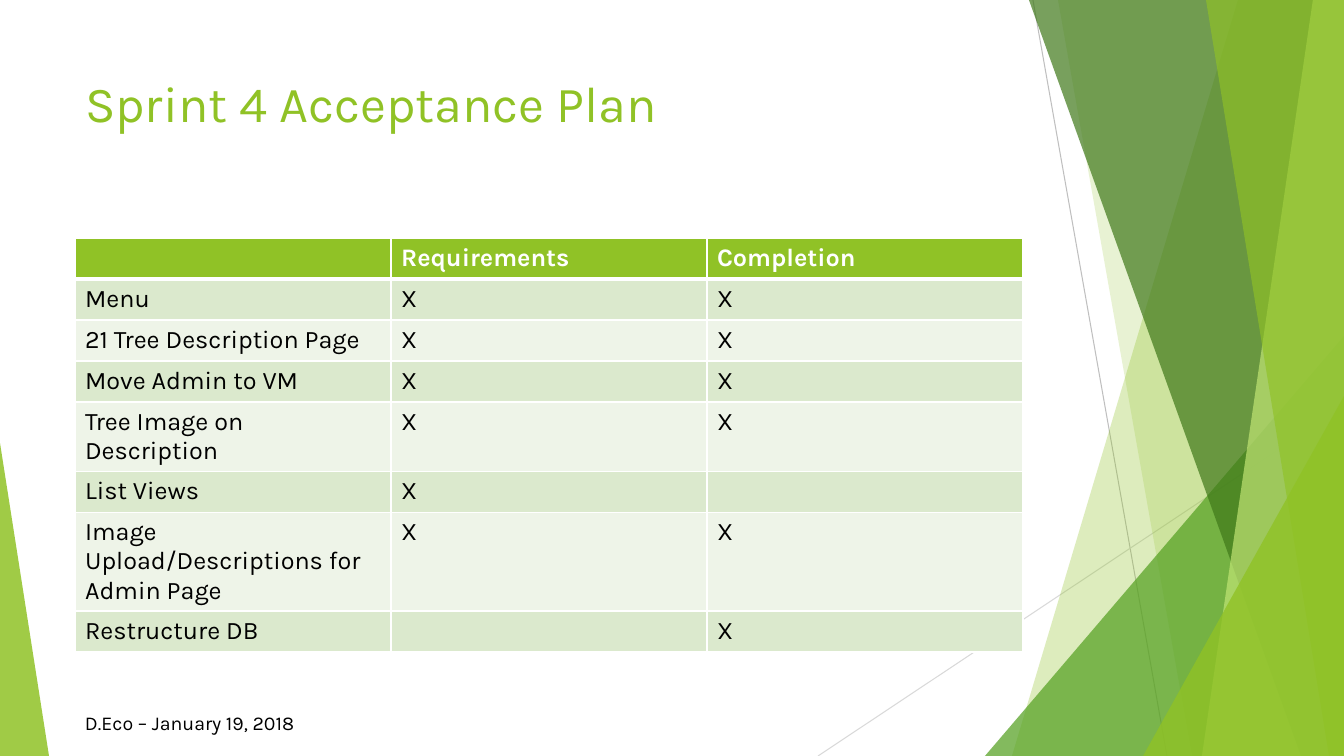
import pptx
import pptx.util
import pptx.dml.color
import pptx.enum.shapes
import pptx.enum.text
import pptx.oxml
import pptx.oxml.ns

SCALE = 914400 / 100.8
WIDE, HIGH = 1344, 756
LIME, WHITE, BLACK = "90C226", "FFFFFF", "000000"
HEADS = ("", "Requirements", "Completion")
TASKS = (
    ("Menu", "X", "X"),
    ("21 Tree Description Page", "X", "X"),
    ("Move Admin to VM", "X", "X"),
    ("Tree Image on Description", "X", "X"),
    ("List Views", "X", ""),
    ("Image Upload/Descriptions for Admin Page", "X", "X"),
    ("Restructure DB", "", "X"),
)


def px(*sizes):
    """Turn pixel lengths into a list of EMU."""
    return [pptx.util.Emu(round(size * SCALE)) for size in sizes]


def paint(hue):
    """Turn a hex string into a colour."""
    return pptx.dml.color.RGBColor.from_string(hue)


def node(tag, parent, **attrs):
    """Append a drawing element and return it."""
    child = pptx.oxml.parse_xml(f"<a:{tag} {pptx.oxml.ns.nsdecls('a')}/>")
    for key, value in attrs.items():
        child.set(key, str(value))
    parent.append(child)
    return child


def write(para, text, size, hue, bold=False):
    """Add one formatted run to a left-aligned paragraph."""
    para.alignment = pptx.enum.text.PP_ALIGN.LEFT
    run = para.add_run()
    run.text = text
    style = {"name": "Karla", "size": pptx.util.Pt(size), "bold": bold}
    for key, value in style.items():
        setattr(run.font, key, value)
    run.font.color.rgb = paint(hue)


def tint(shape, hue, alpha):
    """Fill a shape with a see-through colour and drop its outline."""
    shape.shadow.inherit = False
    shape.fill.solid()
    shape.fill.fore_color.rgb = paint(hue)
    shape.line.fill.background()
    color = shape.fill._xPr.find(".//" + pptx.oxml.ns.qn("a:srgbClr"))
    node("alpha", color, val=alpha * 1000)


def rule(slide, ends, hue):
    """Draw a thin line."""
    kind = pptx.enum.shapes.MSO_CONNECTOR.STRAIGHT
    line = slide.shapes.add_connector(kind, *px(*ends))
    line.line.color.rgb = paint(hue)
    line.line.width = pptx.util.Pt(0.75)
    node("effectLst", line._element.spPr)


def band(slide, top, base, hue, alpha):
    """Draw a full-height band from a slanted edge to the right side."""
    pen = slide.shapes.build_freeform(*px(top, 0))
    points = ((WIDE, 0), (WIDE, HIGH), (base, HIGH))
    pen.add_line_segments([px(*point) for point in points])
    tint(pen.convert_to_shape(), hue, alpha)


def wedge(slide, box, tip, hue, alpha):
    """Draw a triangle with its tip at one side."""
    kind = pptx.enum.shapes.MSO_SHAPE.ISOSCELES_TRIANGLE
    shape = slide.shapes.add_shape(kind, *px(*box))
    shape.adjustments[0] = tip
    tint(shape, hue, alpha)


def facets(slide):
    """Draw the green backdrop."""
    rule(slide, (1033, 0, 1167, HIGH), "BFBFBF")
    rule(slide, (WIDE, 406, 818, HIGH), "D9D9D9")
    band(slide, 1238, 1012, LIME, 30)
    band(slide, 1058, 1192, LIME, 20)
    wedge(slide, (985, 336, 359, 420), 1, "54A021", 72)
    band(slide, 1029, 1301, "3F7819", 70)
    band(slide, 1313, 1202, "C0E474", 70)
    band(slide, 1206, 1329, LIME, 65)
    wedge(slide, (1143, 396, 201, 360), 1, LIME, 80)
    wedge(slide, (0, 443, 49, 313), 0, LIME, 85)


def edge(cell, head):
    """Give a cell white borders, with a thick one under the header."""
    props = cell._tc.get_or_add_tcPr()
    for side in "LRTB":
        width = 3 if head and side == "B" else 1
        line = node("ln" + side, props, w=pptx.util.Pt(width))
        node("srgbClr", node("solidFill", line), val=WHITE)


def grid(slide):
    """Build the table of tasks."""
    rows = (HEADS,) + TASKS
    box = px(75, 238, 948, 41 * len(rows))
    table = slide.shapes.add_table(len(rows), len(HEADS), *box).table
    for r, row in enumerate(rows):
        hue = ("EEF4E8", "DBE9CD")[r % 2] if r else LIME
        for c, text in enumerate(row):
            cell = table.cell(r, c)
            edge(cell, r == 0)
            cell.fill.solid()
            cell.fill.fore_color.rgb = paint(hue)
            if text:
                ink = BLACK if r else WHITE
                write(cell.text_frame.paragraphs[0], text, 18, ink, r == 0)


def label(shape, box, text, size, hue):
    """Place a text shape and write its line."""
    for key, value in zip(("left", "top", "width", "height"), px(*box)):
        setattr(shape, key, value)
    style = {
        "word_wrap": True,
        "auto_size": pptx.enum.text.MSO_AUTO_SIZE.NONE,
        "vertical_anchor": pptx.enum.text.MSO_ANCHOR.TOP,
    }
    for key, value in style.items():
        setattr(shape.text_frame, key, value)
    write(shape.text_frame.paragraphs[0], text, size, hue)


def main():
    """Build and save the slide."""
    deck = pptx.Presentation()
    deck.slide_width, deck.slide_height = px(WIDE, HIGH)
    slide = deck.slides.add_slide(deck.slide_layouts[5])
    facets(slide)
    label(slide.shapes.title, (75, 67, 948, 145),
          "Sprint 4 Acceptance Plan", 36, LIME)
    grid(slide)
    date = slide.shapes.add_textbox(*px(0, 0, 1, 1))
    label(date, (75, 706, 266, 34), "D.Eco – January 19, 2018", 14, BLACK)
    deck.save("out.pptx")


if __name__ == "__main__":
    main()
